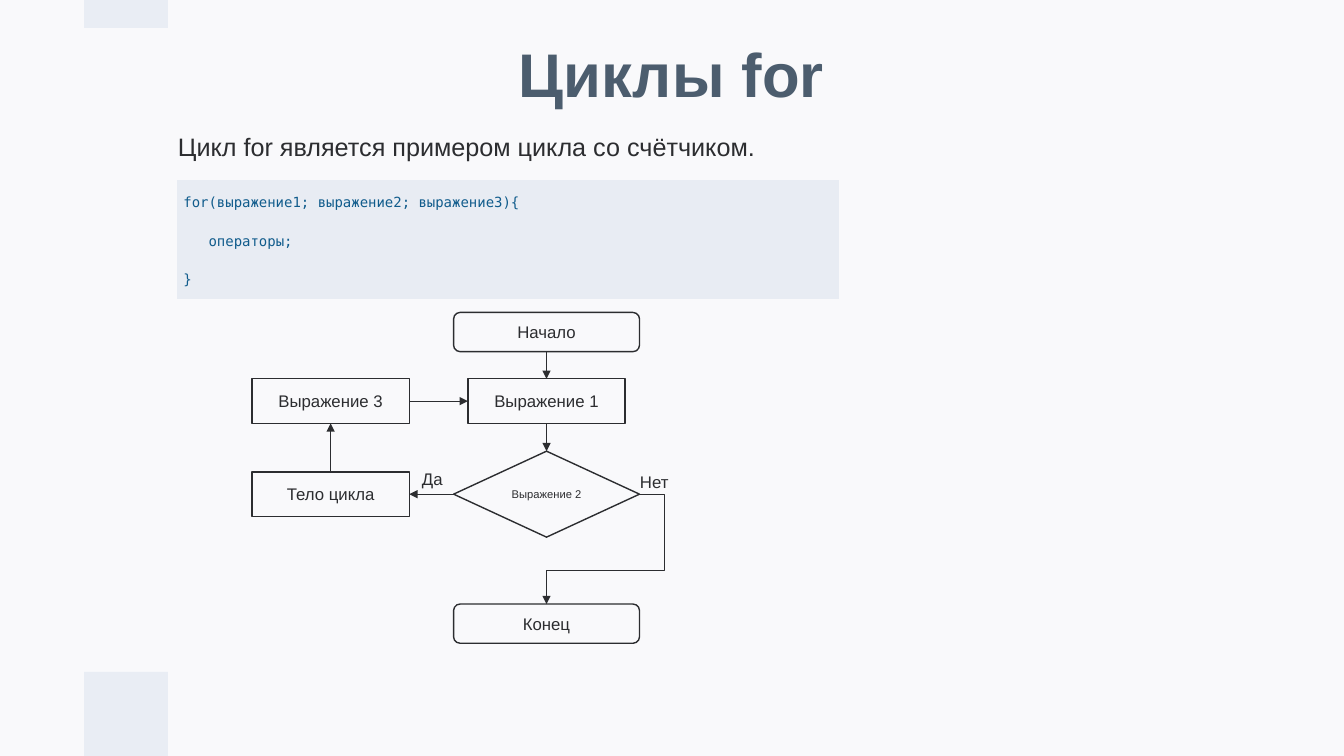
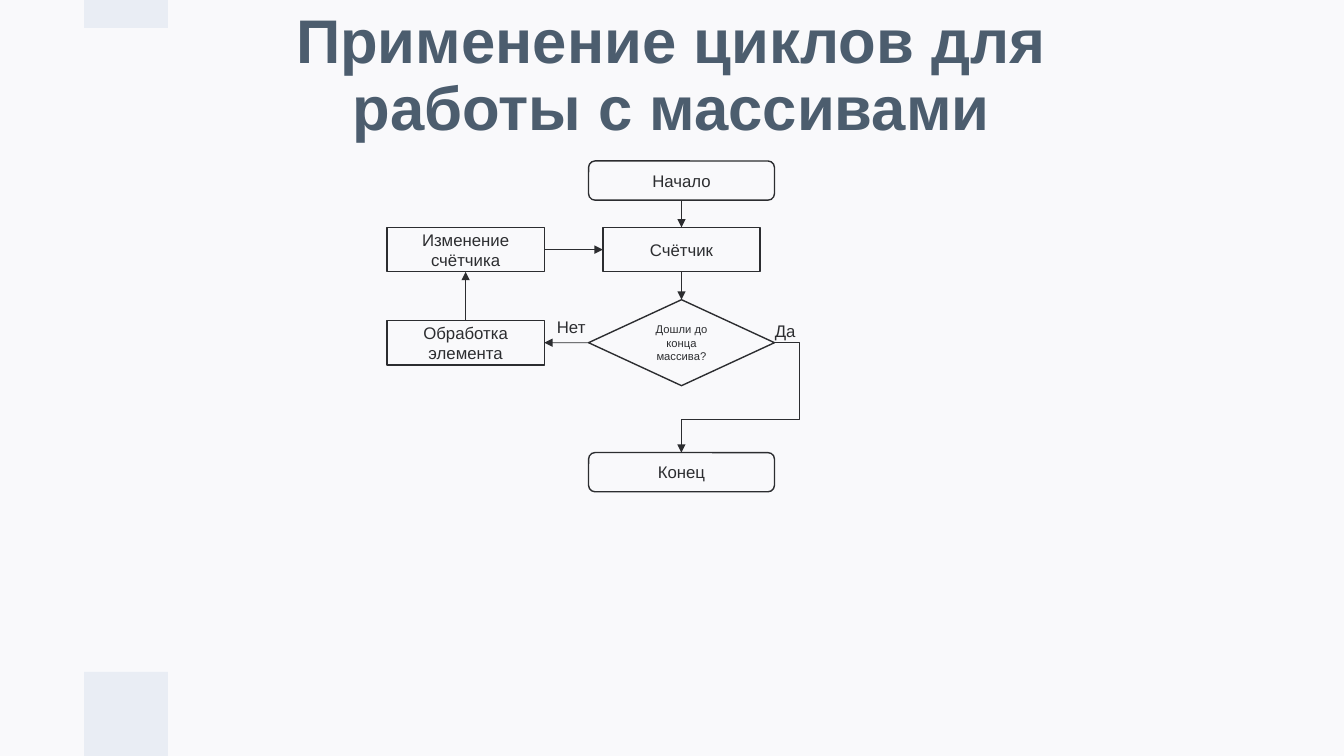
from dataclasses import dataclass
from lxml.etree import SubElement
from pptx import Presentation
from pptx.dml.color import RGBColor as RGB
from pptx.enum.shapes import MSO_CONNECTOR as LINK, MSO_SHAPE as SHAPE
from pptx.enum.text import MSO_ANCHOR as ANCHOR, MSO_AUTO_SIZE as AUTO, PP_ALIGN as ALIGN
from pptx.oxml import parse_xml
from pptx.oxml.ns import nsdecls, qn
from pptx.util import Pt


@dataclass(frozen=True)
class Theme:
    back: RGB = RGB.from_string("F9F9FB")
    band: RGB = RGB.from_string("E9EDF4")
    code_back: RGB = RGB.from_string("E8ECF3")
    title: RGB = RGB.from_string("4C5D6E")
    ink: RGB = RGB.from_string("2C2D30")
    code: RGB = RGB.from_string("115C8C")
    font: str = "Arial"
    mono: str = "DejaVu Sans Mono"
    title_size: int = 44
    lead_size: int = 18
    body_size: int = 12
    code_size: int = 10
    small_size: int = 8


T = Theme()


def write(tf, text, size, color=T.ink, font=T.font, align=ALIGN.LEFT, bold=False):
    for i, line in enumerate(text.split("\n")):
        p = tf.paragraphs[0] if i == 0 else tf.add_paragraph()
        p.text = line
        p.alignment = align
        p.font.name = font
        p.font.size = Pt(size)
        p.font.bold = bold
        p.font.color.rgb = color


def box(s, kind, x, y, w, h, fill, text="", size=T.body_size):
    sp = s.shapes.add_shape(kind, Pt(x), Pt(y), Pt(w), Pt(h))
    sp.shadow.inherit = False
    sp.fill.solid()
    sp.fill.fore_color.rgb = fill
    if text:
        sp.line.color.rgb = T.ink
        sp.line.width = Pt(1)
        sp.text_frame.vertical_anchor = ANCHOR.MIDDLE
        write(sp.text_frame, text, size, align=ALIGN.CENTER)
    else:
        sp.line.fill.background()
    return sp


prs = Presentation()
prs.slide_width, prs.slide_height = Pt(960), Pt(540)
fill = prs.slide_master.background.fill
fill.solid()
fill.fore_color.rgb = T.back

PAGES = [
    dict(title="Циклы for", left=180, top=223.2, first="Выражение 1",
         test="Выражение 2", body="Тело цикла", step="Выражение 3",
         loop=("Да", 29.5), leave=("Нет", 35.3),
         lead="Цикл for является примером цикла со счётчиком.",
         code="for(выражение1; выражение2; выражение3){\nоператоры;\n}"),
    dict(title="Применение циклов для работы с массивами", left=276.4, top=115,
         first="Счётчик", test="Дошли до конца массива?",
         body="Обработка\nэлемента", step="Изменение счётчика",
         loop=("Нет", 35.3), leave=("Да", 29.5)),
]
AXIS = 210.4
WIDE, FLAT = 132.8, 28
BOX_W, BOX_H = 112.4, 31.8
TEST_H = 61.4
ROW, TEST_Y, END_Y = 47.4, 99.1, 208.3
BODY_Y = TEST_Y + (TEST_H - BOX_H) / 2
TOP, LEFT, BOTTOM, RIGHT = range(4)

for page in PAGES:
    s = prs.slides.add_slide(prs.slide_layouts[6])
    tf = s.shapes.add_textbox(Pt(120), Pt(28.8), Pt(719.3), Pt(52.6)).text_frame
    tf.word_wrap = True
    tf.vertical_anchor = ANCHOR.MIDDLE
    tf.margin_left = tf.margin_right = tf.margin_top = tf.margin_bottom = Pt(9.4)
    write(tf, page["title"], T.title_size, T.title, align=ALIGN.CENTER, bold=True)
    tf.paragraphs[0].line_spacing = 0.9
    for y, h in [(480, 60), (0, 20)]:
        box(s, SHAPE.RECTANGLE, 60, y, 60, h, T.band)

    x0, y0 = page["left"], page["top"]
    axis = x0 + AXIS
    nodes = {}
    for name, kind, x, y, w, h, text, size in [
        ("start", SHAPE.ROUNDED_RECTANGLE, axis - WIDE / 2, 0, WIDE, FLAT, "Начало", T.body_size),
        ("test", SHAPE.DIAMOND, axis - WIDE / 2, TEST_Y, WIDE, TEST_H, page["test"], T.small_size),
        ("body", SHAPE.RECTANGLE, x0, BODY_Y, BOX_W, BOX_H, page["body"], T.body_size),
        ("end", SHAPE.ROUNDED_RECTANGLE, axis - WIDE / 2, END_Y, WIDE, FLAT, "Конец", T.body_size),
        ("first", SHAPE.RECTANGLE, axis - BOX_W / 2, ROW, BOX_W, BOX_H, page["first"], T.body_size),
        ("step", SHAPE.RECTANGLE, x0, ROW, BOX_W, BOX_H, page["step"], T.body_size),
    ]:
        nodes[name] = box(s, kind, x, y0 + y, w, h, T.back, text, size)

    labels = [(*page["loop"], x0 + 114.3, y0 + 108, T.body_size, 21.8),
              (*page["leave"], x0 + 270, y0 + 110.2, T.body_size, 21.8)]
    if "lead" in page:
        labels.append((page["lead"], 435.6, 120, 90, T.lead_size, 29))
    for text, w, x, y, size, h in labels:
        tf = s.shapes.add_textbox(Pt(x), Pt(y), Pt(w), Pt(h)).text_frame
        tf.word_wrap = False
        tf.auto_size = AUTO.SHAPE_TO_FIT_TEXT
        write(tf, text, size)

    for kind, a, out, b, into in [
        (LINK.STRAIGHT, "start", BOTTOM, "first", TOP),
        (LINK.STRAIGHT, "first", BOTTOM, "test", TOP),
        (LINK.STRAIGHT, "test", LEFT, "body", RIGHT),
        (LINK.ELBOW, "test", RIGHT, "end", TOP),
        (LINK.STRAIGHT, "body", TOP, "step", BOTTOM),
        (LINK.STRAIGHT, "step", RIGHT, "first", LEFT),
    ]:
        link = s.shapes.add_connector(kind, 0, 0, 0, 0)
        link.begin_connect(nodes[a], out)
        link.end_connect(nodes[b], into)
        link.line.color.rgb = T.ink
        link.line.width = Pt(0.5)
        SubElement(link.line._get_or_add_ln(), qn("a:tailEnd"), type="triangle")
        pr = link._element.spPr
        SubElement(pr, qn("a:effectLst"))
        if kind == LINK.ELBOW:
            geom = pr.find(qn("a:prstGeom"))
            geom.set("prst", "bentConnector4")
            guides = geom.find(qn("a:avLst"))
            for name, value in [("adj1", -27200), ("adj2", 69500)]:
                SubElement(guides, qn("a:gd"), name=name, fmla=f"val {value}")

    if "code" in page:
        table = s.shapes.add_table(1, 1, Pt(126), Pt(128.2), Pt(473.8), Pt(85.7)).table
        table.first_row = table.horz_banding = False
        cell = table.cell(0, 0)
        cell.fill.solid()
        cell.fill.fore_color.rgb = T.code_back
        cell.margin_left = cell.margin_right = cell.margin_top = cell.margin_bottom = Pt(5)
        write(cell.text_frame, page["code"], T.code_size, T.code, T.mono)
        for p in cell.text_frame.paragraphs:
            p.line_spacing = 1.5
            p.space_before = Pt(10)
        cell.text_frame.paragraphs[1]._p.get_or_add_pPr().set("marL", str(Pt(18)))
        for i, side in enumerate("LRTB"):
            cell._tc.get_or_add_tcPr().insert(i, parse_xml(
                f'<a:ln{side} {nsdecls("a")} w="{Pt(1)}"><a:solidFill>'
                f'<a:srgbClr val="{T.back}"/></a:solidFill></a:ln{side}>'))

prs.save("out.pptx")
